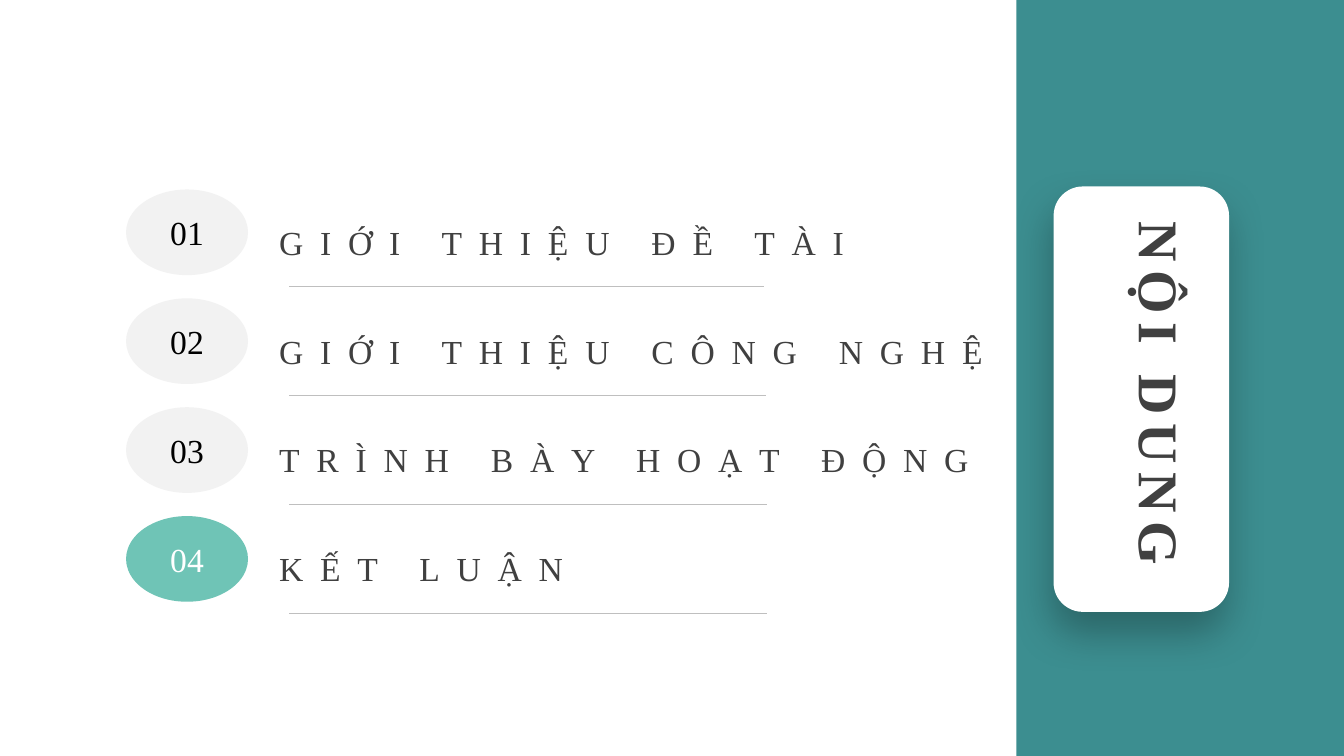
from dataclasses import dataclass

from lxml.etree import SubElement
from pptx import Presentation
from pptx.dml.color import RGBColor
from pptx.enum.shapes import MSO_CONNECTOR, MSO_SHAPE
from pptx.enum.text import MSO_ANCHOR, MSO_AUTO_SIZE, PP_ALIGN
from pptx.oxml.ns import qn
from pptx.util import Pt

PX = 9144  # EMU per px, 100 px to the inch


@dataclass(frozen=True)
class Theme:
    font: str = "Times New Roman"
    band: str = "3C8E90"
    card: str = "FFFFFF"
    badge: str = "F2F2F2"
    badge_text: str = "000000"
    active: str = "6FC4B6"
    active_text: str = "FFFFFF"
    text: str = "404040"
    rule: str = "BFBFBF"
    shadow: str = "000000"
    title_size: int = 40
    item_size: int = 24


THEME = Theme()

# Entry wording and the width of the rule beneath it
ENTRIES = [
    ("GIỚI THIỆU ĐỀ TÀI", 471),
    ("GIỚI THIỆU CÔNG NGHỆ", 473),
    ("TRÌNH BÀY HOẠT ĐỘNG", 474),
    ("KẾT LUẬN", 474),
]


def emu(*lengths):
    return [length * PX for length in lengths]


def add_block(slide, kind, box, color):
    shape = slide.shapes.add_shape(kind, *emu(*box))
    shape.shadow.inherit = False
    shape.fill.solid()
    shape.fill.fore_color.rgb = RGBColor.from_string(color)
    shape.line.fill.background()
    return shape


def add_label(slide, box):
    label = slide.shapes.add_textbox(*emu(*box))
    label.text_frame.word_wrap = True
    return label


def add_run(paragraph, text, size, color, bold=False, spacing=0):
    run = paragraph.add_run()
    run.text = text
    run.font.name = THEME.font
    run.font.size = Pt(size)
    run.font.bold = bold
    run.font.color.rgb = RGBColor.from_string(color)
    if spacing:
        run.font._element.set("spc", str(spacing * 100))


def add_soft_shadow(shape):
    effects = shape._element.spPr.find(qn("a:effectLst"))
    shadow = SubElement(effects, qn("a:outerShdw"), blurRad=str(Pt(29)),
                        dist=str(Pt(15)), dir=str(98 * 60000), algn="ctr",
                        rotWithShape="0")
    color = SubElement(shadow, qn("a:srgbClr"), val=THEME.shadow)
    SubElement(color, qn("a:alpha"), val="27000")


def add_title_band(slide, left, top, width, height):
    add_block(slide, MSO_SHAPE.RECTANGLE, (left, top, width, height), THEME.band)

    # Floating card
    card = add_block(slide, MSO_SHAPE.ROUNDED_RECTANGLE,
                     (left + 37, top + 185, 174, 422), THEME.card)
    add_soft_shadow(card)

    # Vertical title
    title = add_label(slide, (left + 95, top + 210, 87, 385))
    frame = title.text_frame
    frame.auto_size = MSO_AUTO_SIZE.SHAPE_TO_FIT_TEXT
    frame._txBody.bodyPr.set("vert", "eaVert")
    paragraph = frame.paragraphs[0]
    paragraph.alignment = PP_ALIGN.CENTER
    add_run(paragraph, "NỘI DUNG", THEME.title_size, THEME.text, bold=True, spacing=6)


def add_entry(slide, left, top, number, text, rule_width, active):
    # Numbered badge
    fill, color = ((THEME.active, THEME.active_text) if active
                   else (THEME.badge, THEME.badge_text))
    badge = add_block(slide, MSO_SHAPE.OVAL, (left, top, 121, 85), fill)
    badge.text_frame.vertical_anchor = MSO_ANCHOR.MIDDLE
    paragraph = badge.text_frame.paragraphs[0]
    paragraph.alignment = PP_ALIGN.CENTER
    add_run(paragraph, f"{number:02}", THEME.item_size, color)

    # Entry wording
    label = add_label(slide, (left + 142, top + 19, 779, 47))
    paragraph = label.text_frame.paragraphs[0]
    paragraph.line_spacing = 1.2
    add_run(paragraph, text, THEME.item_size, THEME.text, spacing=12)

    # Rule below the entry
    start, level = left + 162, top + 96
    rule = slide.shapes.add_connector(
        MSO_CONNECTOR.STRAIGHT, *emu(start, level, start + rule_width, level))
    rule.line.color.rgb = RGBColor.from_string(THEME.rule)
    rule.line.width = Pt(0.25)
    SubElement(rule._element.spPr, qn("a:effectLst"))


def add_contents(slide, left, top, pitch):
    for index, (text, rule_width) in enumerate(ENTRIES):
        add_entry(slide, left, top + index * pitch, index + 1, text, rule_width,
                  active=index == len(ENTRIES) - 1)


def main():
    presentation = Presentation()
    presentation.slide_width, presentation.slide_height = emu(1333, 750)
    slide = presentation.slides.add_slide(presentation.slide_layouts[6])
    add_title_band(slide, 1008, 0, 325, 750)
    add_contents(slide, 125, 188, 108)
    presentation.save("out.pptx")


if __name__ == "__main__":
    main()
